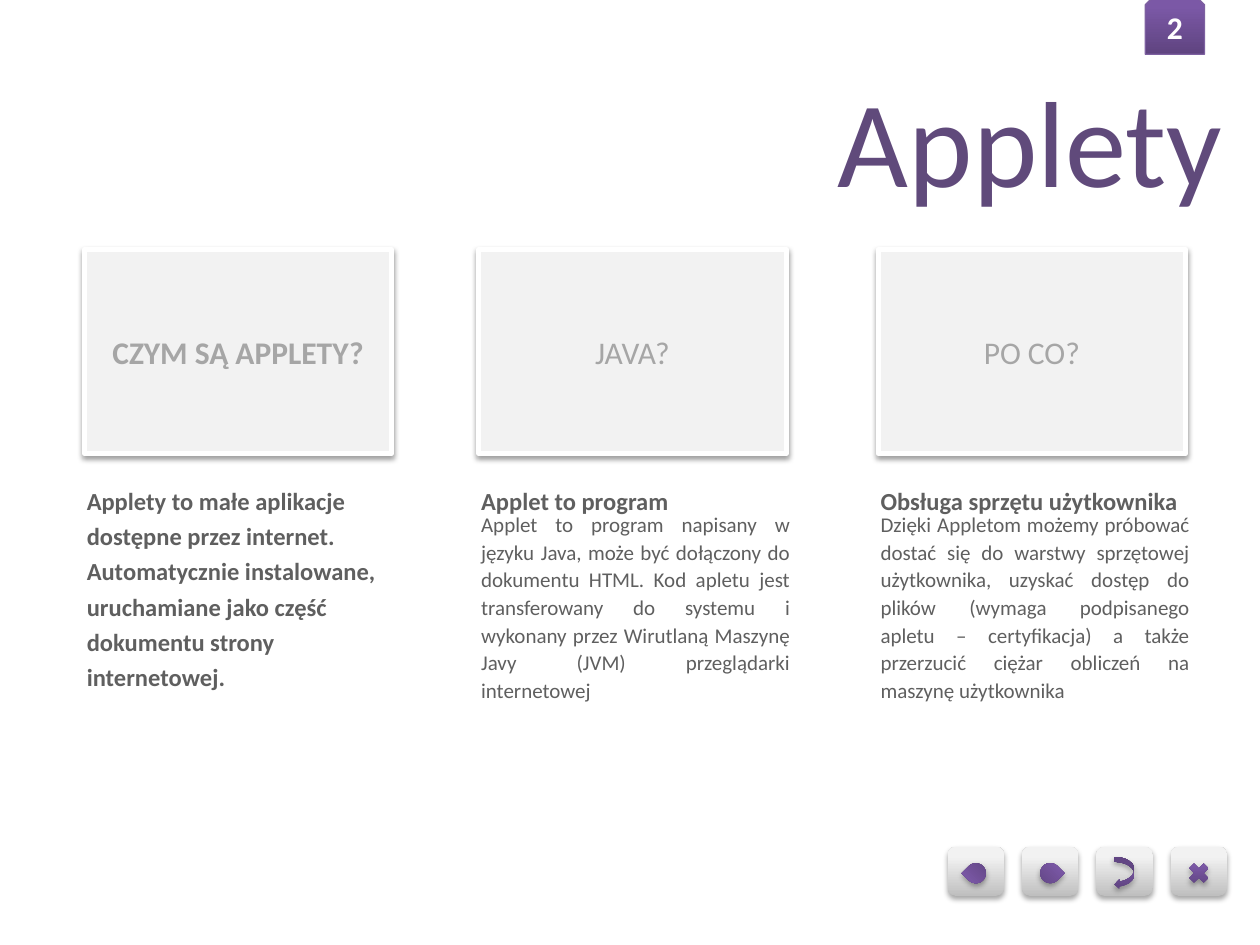
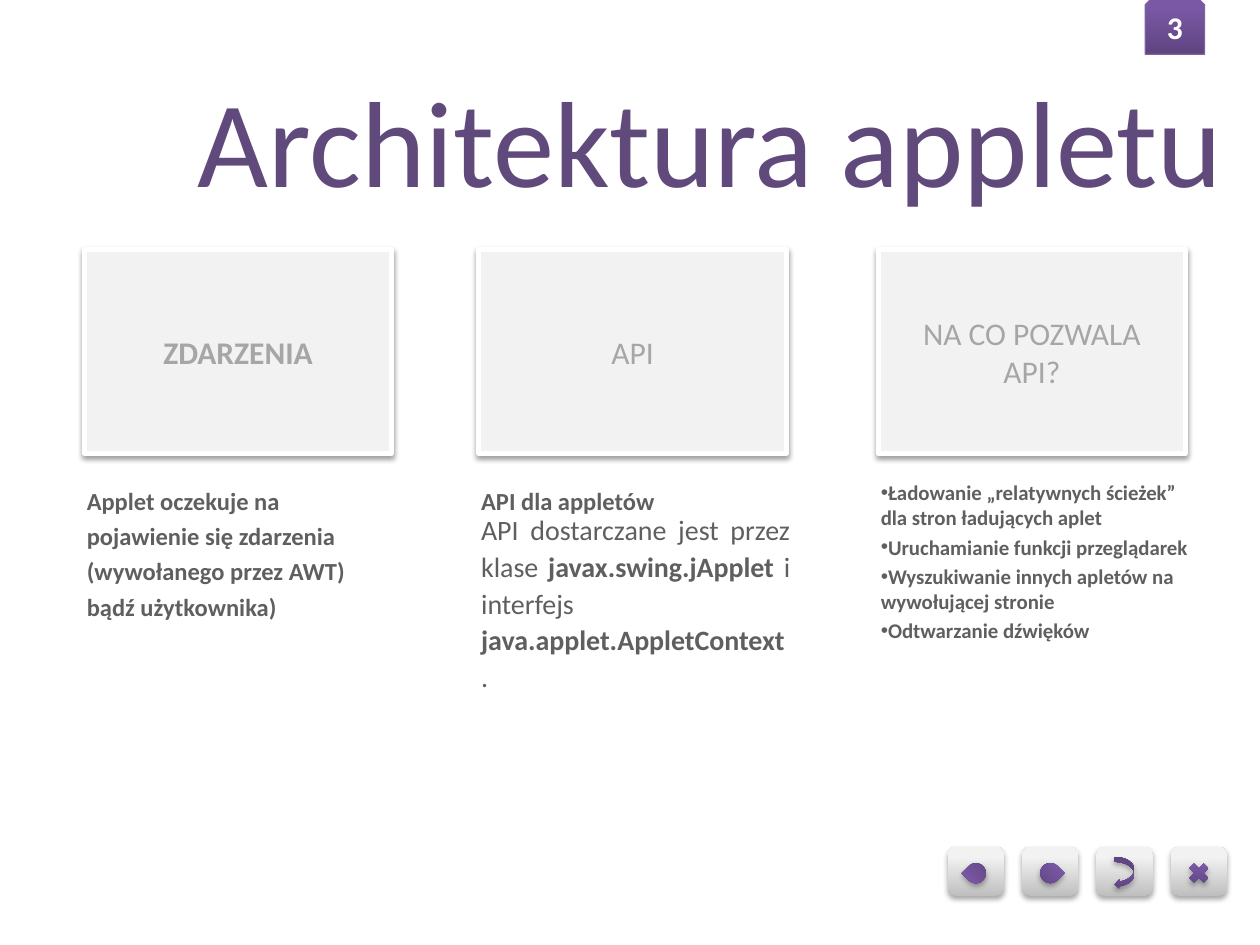
from dataclasses import dataclass
from typing import NamedTuple

from lxml.etree import SubElement
from pptx import Presentation
from pptx.dml.color import RGBColor
from pptx.enum.shapes import MSO_SHAPE as Preset
from pptx.enum.text import MSO_ANCHOR as Anchor, MSO_AUTO_SIZE as AutoSize, PP_ALIGN as Align
from pptx.oxml.ns import qn
from pptx.util import Inches, Pt

WIDTH, HEIGHT = Inches(10), Inches(7.5)
FONT = "Calibri"
VIOLET, BODY_GREY, LABEL_GREY = "604A7B", "5F5F5F", "A6A6A6"
CARD_FILL, BADGE_LINE, WHITE = "F2F2F2", "7D60A0", "FFFFFF"
VIOLET_BLEND = ("5F4480", "7B58A6")
SILVER_BLEND = ("BFBFBF", "F2F2F2")
TITLE_ONLY, TITLE_AND_BODY = 5, 1

COLUMN_LEFTS = (6.7, 38, 69.7)
TEXT_OUTDENT, TEXT_WIDTH = 0.8, 26.5
CARD_TOP, CARD_WIDTH, CARD_HEIGHT = 26.4, 24.4, 21.6
LEAD_TOP, LEAD_HEIGHT, DETAIL_TOP, DETAIL_HEIGHT = 50.13, 5, 53.2, 22.27
STATEMENT_HEIGHT, LIST_HEIGHT = 29.33, 22.93
TITLE_TOP, TITLE_RIGHT, TITLE_HEIGHT = 8.4, 98, 12.53
BUTTON_LEFT, BUTTON_STEP, BUTTON_TOP = 75.2, 5.9, 89.6
BUTTON_WIDTH, BUTTON_HEIGHT = 4.5, 5.2


class Area(NamedTuple):
    left: float
    top: float
    width: float
    height: float

    def lengths(self) -> dict[str, int]:
        return {
            "left": int(WIDTH * self.left / 100),
            "top": int(HEIGHT * self.top / 100),
            "width": int(WIDTH * self.width / 100),
            "height": int(HEIGHT * self.height / 100),
        }


class Span(NamedTuple):
    text: str
    bold: bool = False


class Icon(NamedTuple):
    preset: Preset
    width: float
    height: float
    rotation: float = 0


@dataclass(frozen=True)
class TextStyle:
    size: float
    color: str
    align: Align = Align.LEFT
    spacing: float = 1.0
    before: float = 0.0
    anchor: Anchor = Anchor.TOP


@dataclass(frozen=True)
class Topic:
    label: Span
    lead: str = ""
    detail: tuple[Span, ...] = ()
    detail_size: float = 12
    statement: str = ""
    points: tuple[str, ...] = ()


@dataclass(frozen=True)
class Lesson:
    number: str
    title: str
    title_left: float
    topics: tuple[Topic, ...]


BADGE = Area(90.9, -0.53, 4.7, 6.27)
TITLE = TextStyle(70, VIOLET, Align.RIGHT, anchor=Anchor.MIDDLE)
LABEL = TextStyle(18, LABEL_GREY, Align.CENTER, anchor=Anchor.MIDDLE)
NUMBER = TextStyle(18, WHITE, Align.CENTER, anchor=Anchor.MIDDLE)
LEAD = TextStyle(14, BODY_GREY, spacing=1.2, before=0.2)
POINT = TextStyle(11.9, BODY_GREY, before=0.2)

ICONS = (
    Icon(Preset.TEAR, 1.6, 2.13, 225),
    Icon(Preset.TEAR, 1.6, 2.13, 45),
    Icon(Preset.CURVED_LEFT_ARROW, 1.6, 3.47),
    Icon(Preset.MATH_MULTIPLY, 2.2, 2.93),
)

LESSONS = (
    Lesson("2", "Applety", 36.3, (
        Topic(
            Span("CZYM SĄ APPLETY?", True),
            statement="Applety to małe aplikacje dostępne przez internet. Automatycznie "
                      "instalowane, uruchamiane jako część dokumentu strony internetowej.",
        ),
        Topic(
            Span("JAVA?"),
            lead="Applet to program",
            detail=(Span(
                "Applet to program napisany w języku Java, może być dołączony do dokumentu "
                "HTML. Kod apletu jest transferowany do systemu i wykonany przez Wirutlaną "
                "Maszynę Javy (JVM) przeglądarki internetowej"),),
        ),
        Topic(
            Span("PO CO?"),
            lead="Obsługa sprzętu użytkownika",
            detail=(Span(
                "Dzięki Appletom możemy próbować dostać się do warstwy sprzętowej "
                "użytkownika, uzyskać dostęp do plików (wymaga podpisanego apletu – "
                "certyfikacja) a także przerzucić ciężar obliczeń na maszynę użytkownika"),),
        ),
    )),
    Lesson("3", "Architektura appletu", 9.8, (
        Topic(
            Span("ZDARZENIA", True),
            statement="Applet oczekuje na pojawienie się zdarzenia (wywołanego przez AWT) "
                      "bądź użytkownika)",
        ),
        Topic(
            Span("API"),
            lead="API dla appletów",
            detail=(
                Span("API dostarczane jest przez klase "),
                Span("javax.swing.jApplet", True),
                Span(" i interfejs "),
                Span("java.applet.AppletContext", True),
                Span(" ."),
            ),
            detail_size=16,
        ),
        Topic(
            Span("NA CO POZWALA\nAPI?"),
            points=(
                "Ładowanie „relatywnych ścieżek” dla stron ładujących aplet",
                "Uruchamianie funkcji przeglądarek",
                "Wyszukiwanie innych apletów na wywołującej stronie",
                "Odtwarzanie dźwięków",
            ),
        ),
    )),
)


def rgb(color: str) -> RGBColor:
    return RGBColor.from_string(color)


def apply(target, values: dict) -> None:
    for attribute, value in values.items():
        setattr(target, attribute, value)


def write(shape, style: TextStyle, *paragraphs: tuple[Span, ...]) -> None:
    frame = shape.text_frame
    apply(frame, {"word_wrap": True, "auto_size": AutoSize.NONE,
                  "vertical_anchor": style.anchor})
    for index, spans in enumerate(paragraphs):
        paragraph = frame.add_paragraph() if index else frame.paragraphs[0]
        apply(paragraph, {"alignment": style.align, "line_spacing": style.spacing,
                          "space_before": Pt(style.size * style.before)})
        for span in spans:
            for row, line in enumerate(span.text.split("\n")):
                if row:
                    paragraph.add_line_break()
                run = paragraph.add_run()
                run.text = line
                apply(run.font, {"name": FONT, "size": Pt(style.size), "bold": span.bold})
                run.font.color.rgb = rgb(style.color)


def outline(shape, color: str = "", width: float = 0) -> None:
    if color:
        shape.line.color.rgb = rgb(color)
        shape.line.width = Pt(width)
    else:
        shape.line.fill.background()


def blend(shape, colors: tuple[str, str]) -> None:
    shape.fill.gradient()
    shape.fill.gradient_angle = 90
    for stop, color, position in zip(shape.fill.gradient_stops, colors, (0, 0.8)):
        stop.color.rgb = rgb(color)
        stop.position = position


def cast_shadow(shape, opacity: int, distance: float) -> None:
    effects = shape._element.spPr.find(qn("a:effectLst"))
    shadow = SubElement(effects, qn("a:outerShdw"), blurRad=str(Pt(3.1)),
                        dist=str(Pt(distance)), dir="5400000", rotWithShape="0")
    tone = SubElement(shadow, qn("a:srgbClr"), val="000000")
    SubElement(tone, qn("a:alpha"), val=str(opacity * 1000))


def add_preset(shapes, preset: Preset, area: Area):
    shape = shapes.add_shape(preset, **area.lengths())
    shape.shadow.inherit = False
    return shape


def add_text(slide, area: Area, style: TextStyle, *spans: Span) -> None:
    write(slide.shapes.add_textbox(**area.lengths()), style, spans)


def add_badge(slide, number: str) -> None:
    badge = add_preset(slide.shapes, Preset.SNIP_2_SAME_RECTANGLE, BADGE)
    blend(badge, VIOLET_BLEND)
    outline(badge, BADGE_LINE, 0.75)
    write(badge, NUMBER, (Span(number, True),))


def add_button(slide, index: int, icon: Icon) -> None:
    shapes = slide.shapes.add_group_shape().shapes
    key_area = Area(BUTTON_LEFT + index * BUTTON_STEP, BUTTON_TOP, BUTTON_WIDTH, BUTTON_HEIGHT)
    icon_area = Area(key_area.left + (BUTTON_WIDTH - icon.width) / 2,
                     BUTTON_TOP + 0.2 + (BUTTON_HEIGHT - icon.height) / 2,
                     icon.width, icon.height)
    key = add_preset(shapes, Preset.ROUNDED_RECTANGLE, key_area)
    symbol = add_preset(shapes, icon.preset, icon_area)
    symbol.rotation = icon.rotation
    for part, colors in ((key, SILVER_BLEND), (symbol, VIOLET_BLEND)):
        blend(part, colors)
        outline(part)
        cast_shadow(part, 35, 1.8)


def add_points(slide, area: Area, points: tuple[str, ...]) -> None:
    body = slide.placeholders[1]
    apply(body, area.lengths())
    write(body, POINT, *((Span(point, True),) for point in points))
    for paragraph in body.text_frame.paragraphs:
        apply_indent = paragraph._p.get_or_add_pPr().set
        for side in ("marL", "indent"):
            apply_indent(side, "0")


def add_topic(slide, left: float, topic: Topic) -> None:
    card = add_preset(slide.shapes, Preset.RECTANGLE,
                      Area(left, CARD_TOP, CARD_WIDTH, CARD_HEIGHT))
    card.fill.solid()
    card.fill.fore_color.rgb = rgb(CARD_FILL)
    outline(card, WHITE, 3)
    cast_shadow(card, 38, 1.6)
    write(card, LABEL, (topic.label,))

    text_left = left - TEXT_OUTDENT
    if topic.statement:
        add_text(slide, Area(text_left, LEAD_TOP, TEXT_WIDTH, STATEMENT_HEIGHT), LEAD,
                 Span(topic.statement, True))
    if topic.detail:
        detail = TextStyle(topic.detail_size, BODY_GREY, Align.JUSTIFY, 1.1, 0.2)
        add_text(slide, Area(text_left, DETAIL_TOP, TEXT_WIDTH, DETAIL_HEIGHT), detail,
                 *topic.detail)
        add_text(slide, Area(text_left, LEAD_TOP, TEXT_WIDTH, LEAD_HEIGHT), LEAD,
                 Span(topic.lead, True))
    if topic.points:
        add_points(slide, Area(text_left, LEAD_TOP, TEXT_WIDTH, LIST_HEIGHT), topic.points)


def add_lesson(deck, lesson: Lesson) -> None:
    has_list = any(topic.points for topic in lesson.topics)
    slide = deck.slides.add_slide(deck.slide_layouts[TITLE_AND_BODY if has_list else TITLE_ONLY])
    title = slide.shapes.title
    apply(title, Area(lesson.title_left, TITLE_TOP, TITLE_RIGHT - lesson.title_left,
                      TITLE_HEIGHT).lengths())
    write(title, TITLE, (Span(lesson.title),))
    add_badge(slide, lesson.number)
    for left, topic in zip(COLUMN_LEFTS, lesson.topics):
        add_topic(slide, left, topic)
    for index, icon in enumerate(ICONS):
        add_button(slide, index, icon)


def main() -> None:
    deck = Presentation()
    apply(deck, {"slide_width": WIDTH, "slide_height": HEIGHT})
    for lesson in LESSONS:
        add_lesson(deck, lesson)
    deck.save("out.pptx")


if __name__ == "__main__":
    main()
